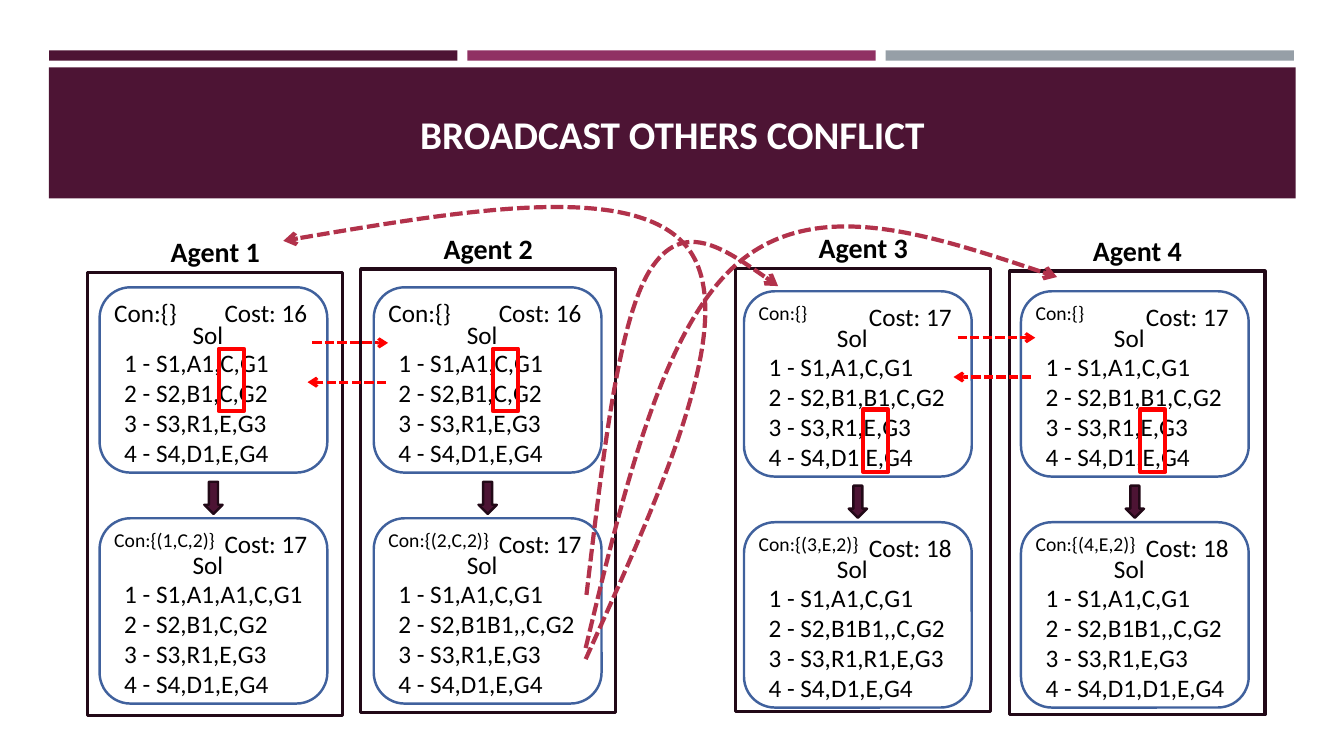
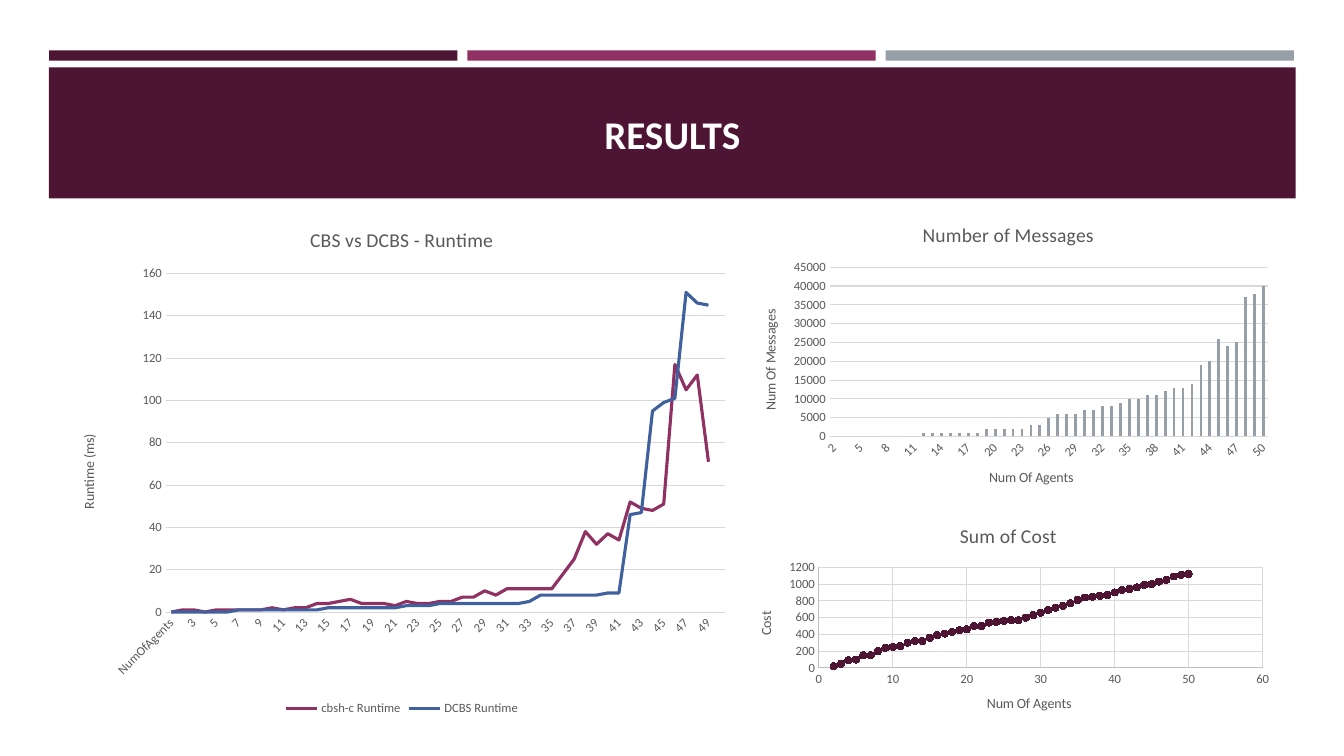
from lxml.etree import SubElement
from pptx import Presentation
from pptx.chart.data import CategoryChartData, XyChartData
from pptx.dml.color import RGBColor
from pptx.enum.chart import XL_CHART_TYPE, XL_LEGEND_POSITION, XL_MARKER_STYLE, XL_TICK_MARK
from pptx.enum.dml import MSO_LINE
from pptx.enum.shapes import MSO_CONNECTOR, MSO_SHAPE
from pptx.enum.text import MSO_ANCHOR, PP_ALIGN
from pptx.oxml.ns import qn
from pptx.util import Cm, Pt

FONT = "Calibri"
COLORS = {
    "plum": "4D1434", "berry": "903163", "steel": "969FA7", "edge": "220917",
    "blue": "40619D", "red": "FF0000", "rose": "B2324B", "white": "FFFFFF",
    "black": "000000", "gray": "595959", "grid": "D9D9D9", "axis": "BFBFBF",
}

# Slide 1: each agent has a frame, a card before and a card after the conflict
ROUTES = ["S1,A1,C,G1", "S2,B1,C,G2", "S3,R1,E,G3", "S4,D1,E,G4"]
LATE = {1: "S2,B1,B1,C,G2"}
TYPO = {1: "S2,B1B1,,C,G2"}
# name, frame corner, card corner, top of the clash box in the card,
# cards as (constraint, its size, cost, changed routes)
AGENTS = [
    ("Agent 1", (2.21, 6.86), (2.51, 7.24), 1.55,
     [("Con:{}", 18, 16, {}), ("Con:{(1,C,2)}", 14, 17, {0: "S1,A1,A1,C,G1"})]),
    ("Agent 2", (9.09, 6.78), (9.42, 7.24), 1.55,
     [("Con:{}", 18, 16, {}), ("Con:{(2,C,2)}", 14, 17, TYPO)]),
    ("Agent 3", (18.54, 6.76), (18.75, 7.34), 2.98,
     [("Con:{}", 14, 17, LATE),
      ("Con:{(3,E,2)}", 14, 18, {**TYPO, 2: "S3,R1,R1,E,G3"})]),
    ("Agent 4", (25.45, 6.83), (25.73, 7.34), 2.98,
     [("Con:{}", 14, 17, LATE),
      ("Con:{(4,E,2)}", 14, 18, {**TYPO, 3: "S4,D1,D1,E,G4"})]),
]
# start x, end x, y
SWAPS = [(7.87, 9.78, 8.64), (9.73, 7.75, 9.63),
         (24.13, 26.09, 8.51), (25.98, 24.03, 9.5)]
# start, then two controls and an end for each bend
CURVES = [
    [(14.78, 14.99), (15.19, 11.56), (15.57, 8.1), (16.38, 6.81),
     (17.2, 5.51), (18.39, 6.35), (19.61, 7.21)],
    [(14.76, 16.33), (15.75, 12.22), (16.74, 8.08), (18.72, 6.53),
     (20.7, 4.98), (23.67, 5.99), (26.64, 6.98)],
    [(14.76, 16.61), (16.69, 12.34), (18.64, 8.08), (17.37, 6.3),
     (16.1, 4.55), (11.61, 5.31), (7.14, 6.07)],
]

# Slide 2
COUNTS = list(range(2, 51))
CBS = [0, 1, 1, 0, 1, 1, 1, 1, 1, 2, 1, 2, 2, 4, 4, 5, 6, 4, 4, 4, 3, 5, 4, 4, 5,
       5, 7, 7, 10, 8, 11, 11, 11, 11, 11, 18, 25, 38, 32, 37, 34, 52, 49, 48, 51,
       117, 105, 112, 71]
DCBS = [0, 0, 0, 0, 0, 0, 1, 1, 1, 1, 1, 1, 1, 1, 2, 2, 2, 2, 2, 2, 2, 3, 3, 3, 4,
        4, 4, 4, 4, 4, 4, 4, 5, 8, 8, 8, 8, 8, 8, 9, 9, 46, 47, 95, 99, 101, 151,
        146, 145]
SENT = [0, 0, 0, 0, 0, 0, 0, 0, 0, 0, 1, 1, 1, 1, 1, 1, 1, 2, 2, 2, 2, 2, 3, 3, 5,
        6, 6, 6, 7, 7, 8, 8, 9, 10, 10, 11, 11, 12, 13, 13, 14, 19, 20, 26, 24, 25,
        37, 38, 40]  # thousands
COST = [20, 50, 90, 100, 150, 150, 200, 240, 250, 260, 300, 320, 320, 360, 390, 410,
        430, 450, 460, 500, 500, 540, 550, 560, 570, 570, 600, 630, 660, 690, 720,
        740, 770, 810, 840, 850, 860, 870, 900, 930, 940, 960, 990, 1000, 1030, 1050,
        1090, 1110, 1120]
CHARTS = [
    dict(kind=XL_CHART_TYPE.LINE, box=(1.63, 5.21, 16.99, 12.93),
         plot=(0.15, 0.13, 0.83, 0.66), title="CBS vs DCBS - Runtime",
         names=(None, "Runtime (ms)"), top=160, step=20, skip=2,
         cats=["NumOfAgents"] + COUNTS,
         series=[("cbsh-c Runtime", CBS, "berry"), ("DCBS Runtime", DCBS, "blue")]),
    dict(kind=XL_CHART_TYPE.COLUMN_CLUSTERED, box=(18.59, 5.21, 13.64, 7.62),
         plot=(0.17, 0.2, 0.81, 0.56), title="Number of Messages",
         names=("Num Of Agents", "Num Of Messages"), top=45000, step=5000, skip=3,
         cats=COUNTS,
         series=[("Number of Messages", [n * 1000 for n in SENT], "steel")]),
    dict(kind=XL_CHART_TYPE.XY_SCATTER_LINES, box=(18.59, 12.83, 13.64, 5.64),
         plot=(0.15, 0.26, 0.82, 0.45), title="Sum of Cost",
         names=("Num Of Agents", "Cost"), top=1200, step=200, skip=None,
         cats=COUNTS, series=[("Sum of Cost", COST, "plum")]),
]


def rgb(name):
    return RGBColor.from_string(COLORS[name])


def style(font, size, color="black", bold=False):
    font.name, font.size, font.bold = FONT, Pt(size), bold
    font.color.rgb = rgb(color)


def text(slide, box, words, size=18, color="black", bold=False,
         align=PP_ALIGN.LEFT, anchor=MSO_ANCHOR.TOP):
    frame = slide.shapes.add_textbox(*map(Cm, box)).text_frame
    frame.word_wrap, frame.vertical_anchor = True, anchor
    frame.text = words
    for para in frame.paragraphs:
        para.alignment = align
        style(para.runs[0].font, size, color, bold)


def stroke(line, color, width):
    line.color.rgb, line.width = rgb(color), Pt(width)


def shape(slide, kind, box, fill=None, line=None, width=1):
    item = slide.shapes.add_shape(kind, *map(Cm, box))
    item.shadow.inherit = False
    if fill:
        item.fill.solid()
        item.fill.fore_color.rgb = rgb(fill)
    else:
        item.fill.background()
    if line:
        stroke(item.line, line, width)
    else:
        item.line.fill.background()


def dashed(item, color, width):
    """Dashed line with an open arrowhead at its end and no shadow."""
    stroke(item.line, color, width)
    item.line.dash_style = MSO_LINE.SQUARE_DOT
    props = item.element.spPr
    SubElement(props.get_or_add_ln(), qn("a:tailEnd"), type="arrow")
    if props.find(qn("a:effectLst")) is None:
        SubElement(props, qn("a:effectLst"))


def bezier(ends, t):
    parts = ((1 - t) ** 3, 3 * t * (1 - t) ** 2, 3 * t * t * (1 - t), t ** 3)
    return tuple(Cm(sum(w * p[i] for w, p in zip(parts, ends))) for i in (0, 1))


def curve(slide, points):
    # Sampled points give the exact bounds; cubic bends then replace them
    bends = [points[i:i + 4] for i in range(0, len(points) - 1, 3)]
    dots = [bezier(b, n / 20) for b in bends for n in range(1, 21)]
    pen = slide.shapes.build_freeform(*map(Cm, points[0]))
    pen.add_line_segments(dots, close=False)
    item = pen.convert_to_shape()
    item.fill.background()
    item.shadow.inherit = False
    trace = item.element.find(".//" + qn("a:path"))
    for old in trace.findall(qn("a:lnTo")):
        trace.remove(old)
    for bend in bends:
        node = SubElement(trace, qn("a:cubicBezTo"))
        for x, y in bend[1:]:
            SubElement(node, qn("a:pt"), x=str(Cm(x) - item.left),
                       y=str(Cm(y) - item.top))
    dashed(item, "rose", 3)


def base(deck, title):
    """Slide with the three strips, the title band and the title."""
    slide = deck.slides.add_slide(deck.slide_layouts[6])
    for i, color in enumerate(("plum", "berry", "steel")):
        shape(slide, MSO_SHAPE.RECTANGLE, (1.24 + 10.54 * i, 1.27, 10.29, 0.26), color)
    shape(slide, MSO_SHAPE.RECTANGLE, (1.23, 1.7, 31.42, 3.3), "plum")
    text(slide, (1.63, 1.96, 30.63, 2.82), title, size=28, color="white", bold=True,
         align=PP_ALIGN.CENTER, anchor=MSO_ANCHOR.MIDDLE)
    return slide


def card(slide, x, y, con, size, cost, changes):
    shape(slide, MSO_SHAPE.ROUNDED_RECTANGLE, (x, y, 5.74, 4.67), "white", "blue", 1.75)
    rows = [f"{i + 1} - {changes.get(i, r)}" for i, r in enumerate(ROUTES)]
    text(slide, (x + 0.37, y + 1.38, 6.2, 3.33), "\n".join(rows))
    text(slide, (x + 0.12, y + 0.12, 4.45, 1.02), con, size=size)
    text(slide, (x + 2.9, y + 0.12, 3.12, 1.02), f"Cost: {cost}")
    text(slide, (x + 2.02, y + 0.67, 1.42, 1.02), "Sol", align=PP_ALIGN.CENTER)


def agent(slide, name, frame, corner, clash, cards):
    left, top = frame
    x, y = corner
    shape(slide, MSO_SHAPE.RECTANGLE, (left, top, 6.43, 11.18), None, "edge", 2.25)
    text(slide, (left, top - 1.07, 6.43, 1.12), name, size=20, bold=True,
         align=PP_ALIGN.CENTER)
    for i, data in enumerate(cards):
        card(slide, x, y + 5.82 * i, *data)
    shape(slide, MSO_SHAPE.DOWN_ARROW, (x + 2.64, y + 4.9, 0.46, 0.81),
          "plum", "edge", 1.75)
    shape(slide, MSO_SHAPE.RECTANGLE, (x + 3, y + clash, 0.64, 1.57), None, "red", 3)


def caption(owner, words, size):
    owner.has_title = True
    title = owner.chart_title if hasattr(owner, "chart_title") else owner.axis_title
    title.text_frame.text = words
    style(title.text_frame.paragraphs[0].runs[0].font, size, "gray")


def place(chart, plot):
    """Fix the inner plot area, as shares of the chart."""
    area = chart.element.find(".//" + qn("c:plotArea"))
    for old in area.findall(qn("c:layout")):
        area.remove(old)
    node = SubElement(area, qn("c:layout"))
    area.insert(0, node)
    node = SubElement(node, qn("c:manualLayout"))
    marks = [("layoutTarget", "inner"), ("xMode", "edge"), ("yMode", "edge")]
    for tag, val in marks + list(zip("xywh", plot)):
        SubElement(node, qn("c:" + tag), val=str(val))


def slant(chart, skip):
    """Turn the category labels and show every skip-th one."""
    axis = chart.element.find(".//" + qn("c:catAx"))
    body = axis.find(qn("c:txPr")).find(qn("a:bodyPr"))
    body.set("rot", "-2700000")
    body.set("vert", "horz")
    node = SubElement(axis, qn("c:tickLblSkip"), val=str(skip))
    axis.find(qn("c:noMultiLvlLbl")).addprevious(node)


def graph(slide, kind, box, plot, title, names, top, step, skip, cats, series):
    dots = kind == XL_CHART_TYPE.XY_SCATTER_LINES
    data = XyChartData() if dots else CategoryChartData()
    if not dots:
        data.categories = [str(c) for c in cats]
    for name, vals, _ in series:
        if dots:
            row = data.add_series(name)
            for x, y in zip(cats, vals):
                row.add_data_point(x, y)
        else:
            data.add_series(name, vals)
    chart = slide.shapes.add_chart(kind, *map(Cm, box), data).chart
    style(chart.font, 10)
    caption(chart, title, 14)

    # Axes
    across, up = chart.category_axis, chart.value_axis
    for axis, name in zip((across, up), names):
        axis.major_tick_mark = axis.minor_tick_mark = XL_TICK_MARK.NONE
        style(axis.tick_labels.font, 9, "gray")
        stroke(axis.format.line, "axis" if dots else "grid", 0.75)
        axis.has_major_gridlines = dots or axis is up
        if axis.has_major_gridlines:
            stroke(axis.major_gridlines.format.line, "grid", 0.75)
        if name:
            caption(axis, name, 10)
    up.minimum_scale, up.maximum_scale, up.major_unit = 0, top, step
    if dots:
        across.minimum_scale, across.maximum_scale, across.major_unit = 0, 60, 10
    else:
        up.format.line.fill.background()
        slant(chart, skip)
    place(chart, plot)

    # Series and legend
    group = chart.plots[0]
    group.vary_by_categories = False
    for row, (_, _, color) in zip(group.series, series):
        if kind == XL_CHART_TYPE.COLUMN_CLUSTERED:
            group.gap_width, group.overlap = 219, -27
            row.format.fill.solid()
            row.format.fill.fore_color.rgb = rgb(color)
            continue
        row.smooth = False
        stroke(row.format.line, color, 1.5 if dots else 2.25)
        row.marker.style = XL_MARKER_STYLE.CIRCLE if dots else XL_MARKER_STYLE.NONE
        if dots:
            row.marker.size = 5
            row.marker.format.fill.solid()
            row.marker.format.fill.fore_color.rgb = rgb(color)
            stroke(row.marker.format.line, color, 0.75)
    chart.has_legend = len(series) > 1
    if chart.has_legend:
        chart.legend.position = XL_LEGEND_POSITION.BOTTOM
        chart.legend.include_in_layout = False
        style(chart.legend.font, 9, "gray")


def main():
    deck = Presentation()
    deck.slide_width, deck.slide_height = Cm(33.87), Cm(19.05)

    slide = base(deck, "BROADCAST OTHERS CONFLICT")
    for data in AGENTS:
        agent(slide, *data)
    for start, end, y in SWAPS:
        line = slide.shapes.add_connector(MSO_CONNECTOR.STRAIGHT,
                                          Cm(start), Cm(y), Cm(end), Cm(y))
        dashed(line, "red", 2.25)
    for points in CURVES:
        curve(slide, points)

    slide = base(deck, "RESULTS")
    for data in CHARTS:
        graph(slide, **data)
    deck.save("out.pptx")


if __name__ == "__main__":
    main()
